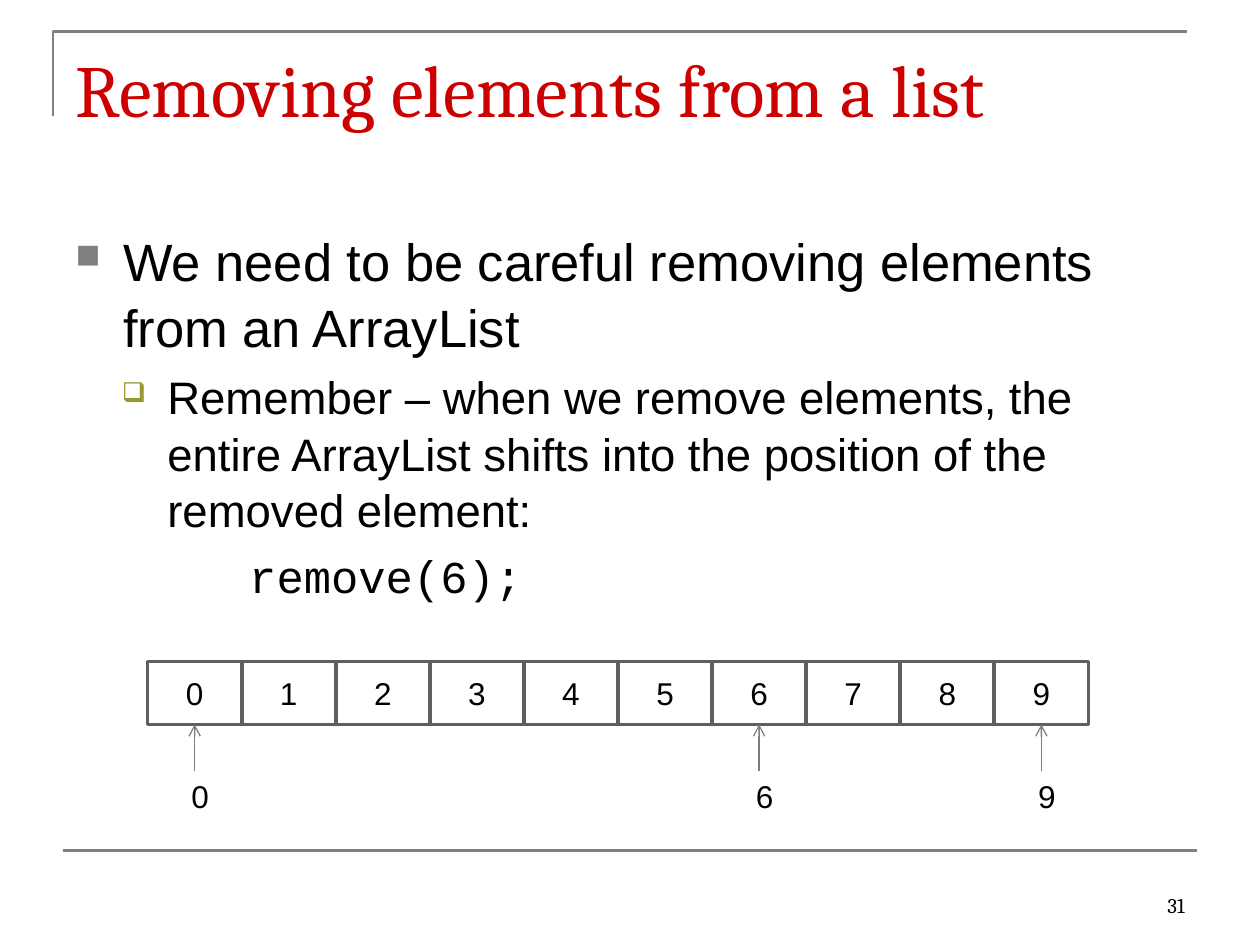
"""Build the slide on removing elements from a list."""
from dataclasses import dataclass

from lxml import etree
from pptx import Presentation
from pptx.dml.color import RGBColor
from pptx.enum.shapes import MSO_CONNECTOR, MSO_SHAPE
from pptx.enum.text import MSO_ANCHOR, PP_ALIGN
from pptx.oxml.ns import qn
from pptx.util import Inches, Pt

STRAIGHT = MSO_CONNECTOR.STRAIGHT
RECTANGLE = MSO_SHAPE.RECTANGLE
TOP, MIDDLE, BOTTOM = MSO_ANCHOR.TOP, MSO_ANCHOR.MIDDLE, MSO_ANCHOR.BOTTOM
LEFT, CENTER, RIGHT = PP_ALIGN.LEFT, PP_ALIGN.CENTER, PP_ALIGN.RIGHT


@dataclass(frozen=True)
class Theme:
    heading_font: str = "Cambria"
    body_font: str = "Arial"
    code_font: str = "Courier New"
    title_color: str = "CC0000"
    text_color: str = "000000"
    rule_color: str = "808080"
    accent_color: str = "999933"
    cell_color: str = "5F5F5F"
    arrow_color: str = "7D7D7D"
    title_size: int = 42
    body_size: int = 30
    detail_size: int = 26
    cell_size: int = 18
    number_size: int = 12


theme = Theme()


def write(box, text, font, size, color=theme.text_color, align=LEFT, anchor=TOP):
    frame = box.text_frame
    frame.word_wrap = True
    frame.vertical_anchor = anchor
    para = frame.paragraphs[0] if not frame.text else frame.add_paragraph()
    para.text = text
    para.alignment = align
    para.font.name = font
    para.font.size = Pt(size)
    para.font.color.rgb = RGBColor.from_string(color)
    return para


def draw_line(start, end, color, width):
    line = page.shapes.add_connector(STRAIGHT, *map(Inches, start + end))
    line.line.color.rgb = RGBColor.from_string(color)
    line.line.width = Pt(width)
    etree.SubElement(line._element.spPr, qn("a:effectLst"))
    return line


deck = Presentation()
deck.slide_width, deck.slide_height = Inches(10), Inches(7.5)
page = deck.slides.add_slide(deck.slide_layouts[6])

builder = page.shapes.build_freeform(Inches(0.42), Inches(0.92))
builder.add_line_segments(
    [(Inches(0.42), Inches(0.25)), (Inches(9.42), Inches(0.25))], close=False)
corner = builder.convert_to_shape()
corner.shadow.inherit = False
corner.fill.background()
corner.line.color.rgb = RGBColor.from_string(theme.rule_color)
corner.line.width = Pt(1.5)
draw_line((0.5, 6.75), (9.5, 6.75), theme.rule_color, 1.5)

title = page.shapes.add_textbox(Inches(0.5), Inches(0.3), Inches(9), Inches(1.25))
write(title, "Removing elements from a list", theme.heading_font,
      theme.title_size, theme.title_color)

body = page.shapes.add_textbox(Inches(0.5), Inches(1.75), Inches(9), Inches(4.95))
points = [
    ("We need to be careful removing elements from an ArrayList",
     theme.body_font, theme.body_size, 0, 0.38, -0.38, ("n", theme.rule_color, 65)),
    ("Remember – when we remove elements, the entire ArrayList shifts into "
     "the position of the removed element:",
     theme.body_font, theme.detail_size, 1, 0.73, -0.36, ("q", theme.accent_color, 60)),
    ("remove(6);", theme.code_font, theme.detail_size, 1, 1.38, 0, None),
]
for text, font, size, level, margin, indent, bullet in points:
    para = write(body, text, font, size)
    para.level = level
    para.line_spacing = 1.04
    para.space_before = Pt(size * 0.2)
    props = para._p.get_or_add_pPr()
    props.set("marL", str(Inches(margin)))
    props.set("indent", str(Inches(indent)))
    if bullet:
        mark, color, percent = bullet
        tint = etree.Element(qn("a:buClr"))
        etree.SubElement(tint, qn("a:srgbClr"), val=color)
        scale = etree.Element(qn("a:buSzPct"), val=str(percent * 1000))
        face = etree.Element(qn("a:buFont"), typeface="Wingdings")
        glyph = etree.Element(qn("a:buChar"), char=mark)
        props.find(qn("a:spcBef")).addnext(tint)
        tint.addnext(scale)
        scale.addnext(face)
        face.addnext(glyph)

number = page.shapes.add_textbox(Inches(7.17), Inches(6.83), Inches(2.33), Inches(0.5))
write(number, "31", theme.heading_font, theme.number_size, align=RIGHT, anchor=BOTTOM)

cell_count, cell_width, row_left, row_right = 10, 0.75, 1.17, 8.64
pitch = (row_right - row_left - cell_width) / (cell_count - 1)
row = page.shapes.add_group_shape()
for index in range(cell_count):
    cell = row.shapes.add_shape(RECTANGLE, Inches(row_left + index * pitch),
                                Inches(5.25), Inches(cell_width), Inches(0.5))
    cell.shadow.inherit = False
    cell.fill.background()
    cell.line.color.rgb = RGBColor.from_string(theme.cell_color)
    cell.line.width = Pt(2)
    write(cell, str(index), theme.body_font, theme.cell_size, align=CENTER, anchor=MIDDLE)

for index in (0, 6, 9):
    center = row_left + index * pitch + cell_width / 2
    label = page.shapes.add_textbox(Inches(center - 0.125), Inches(6.12),
                                    Inches(0.25), Inches(0.4))
    write(label, str(index), theme.body_font, theme.cell_size, align=CENTER)
    arrow = draw_line((center, 6.12), (center, 5.75), theme.arrow_color, 0.75)
    etree.SubElement(arrow.line._get_or_add_ln(), qn("a:tailEnd"), type="arrow")

deck.save("out.pptx")
